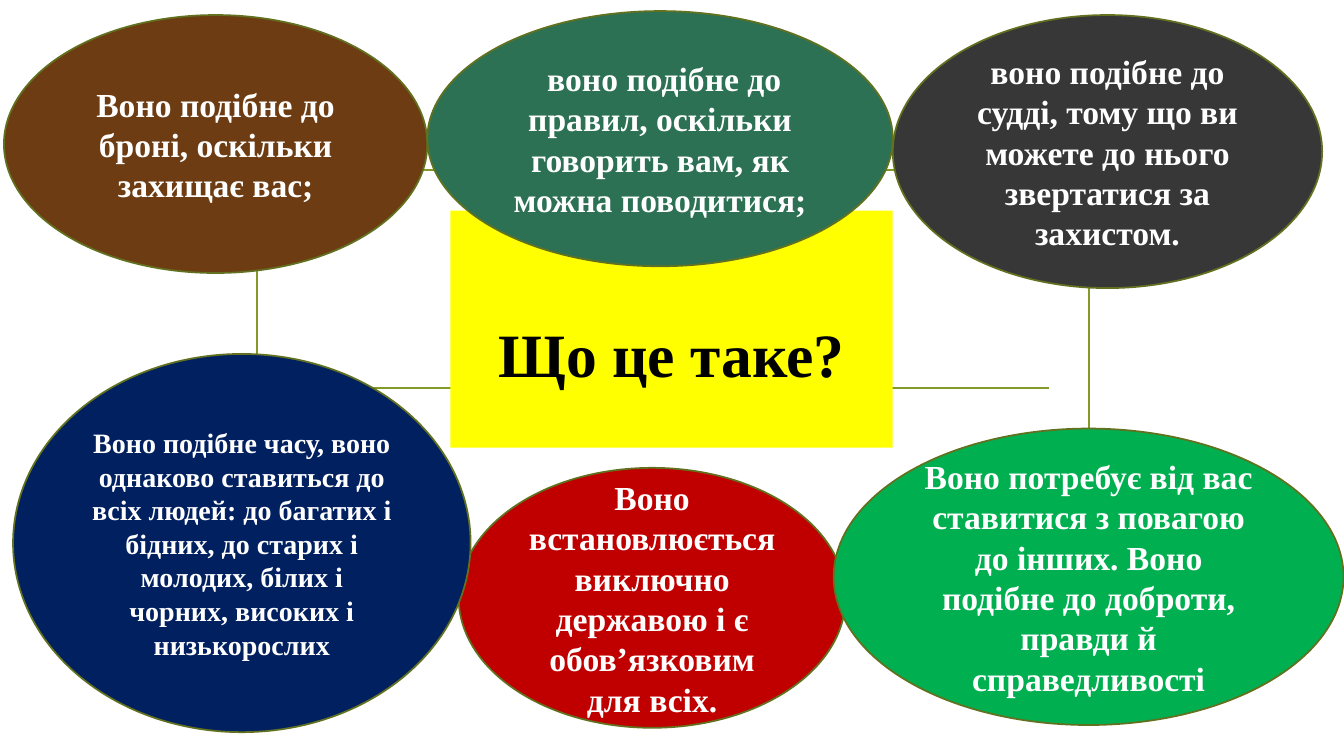
from dataclasses import dataclass

from lxml.etree import SubElement
from pptx import Presentation
from pptx.dml.color import RGBColor
from pptx.enum.shapes import MSO_CONNECTOR, MSO_SHAPE
from pptx.enum.text import MSO_ANCHOR, PP_ALIGN
from pptx.oxml.ns import qn
from pptx.util import Cm, Pt


@dataclass(frozen=True)
class Theme:
    font: str = "Times New Roman"
    title_size: int = 44
    body_size: int = 24
    small_size: int = 20
    leading: float = 1.2
    line_width: float = 1.25
    frame: str = "83992A"
    outline: str = "61711F"
    yellow: str = "FFFF00"
    black: str = "000000"
    white: str = "FFFFFF"
    brown: str = "6D3C13"
    teal: str = "2D7154"
    gray: str = "373737"
    red: str = "C00000"
    navy: str = "002060"
    green: str = "00B050"


THEME = Theme()

FRAME_BOX = (6.48, 4.29, 20.96, 10.64)
QUESTION_BOX = (11.35, 5.31, 11.15, 5.97)

# Box in cm, fill, type size, wording; from back to front
ANSWERS = [
    ((0.1, 0.38, 10.67, 6.5), THEME.brown, THEME.body_size,
     "Воно подібне до броні, оскільки захищає вас;"),
    ((10.77, 0.28, 11.73, 6.43), THEME.teal, THEME.body_size,
     " воно подібне до правил, оскільки говорить вам, як можна поводитися;"),
    ((22.5, 0.38, 10.82, 6.88), THEME.gray, THEME.body_size,
     "воно подібне до судді, тому що ви можете до нього звертатися за захистом."),
    ((11.56, 11.79, 9.75, 6.55), THEME.red, THEME.body_size,
     "Воно встановлюється виключно державою і є обов’язковим для всіх."),
    ((0.33, 8.92, 11.53, 9.53), THEME.navy, THEME.small_size,
     "Воно подібне часу, воно однаково ставиться до всіх людей: до багатих і "
     "бідних, до старих і молодих, білих і чорних, високих і низькорослих"),
    ((21.01, 10.8, 12.85, 7.47), THEME.green, THEME.body_size,
     "Воно потребує від вас ставитися з повагою до інших. Воно подібне до "
     "доброти, правди й справедливості"),
]


def set_line(line, color):
    line.color.rgb = RGBColor.from_string(color)
    line.width = Pt(THEME.line_width)


def add_preset(page, kind, box, fill=None, outline=None):
    shape = page.shapes.add_shape(kind, *map(Cm, box))
    shape.shadow.inherit = False
    if fill:
        shape.fill.solid()
        shape.fill.fore_color.rgb = RGBColor.from_string(fill)
    else:
        shape.fill.background()
    if outline:
        set_line(shape.line, outline)
    else:
        shape.line.fill.background()
    return shape


def write_text(shape, text, size, color):
    shape.text_frame.word_wrap = True
    para = shape.text_frame.paragraphs[0]
    para.alignment = PP_ALIGN.CENTER
    span = para.add_run()
    span.text = text
    span.font.name = THEME.font
    span.font.size = Pt(size)
    span.font.bold = True
    span.font.color.rgb = RGBColor.from_string(color)
    return para


def add_frame(page, box):
    """Outline rectangle with a rule across it, slightly inset at both ends."""
    left, top, width, height = box
    add_preset(page, MSO_SHAPE.RECTANGLE, box, outline=THEME.frame)
    rule_top = Cm(top + 5.49)
    rule = page.shapes.add_connector(
        MSO_CONNECTOR.STRAIGHT, Cm(left + 1), rule_top, Cm(left + width - 1), rule_top)
    set_line(rule.line, THEME.frame)
    SubElement(rule.element.spPr, qn("a:effectLst"))


def add_question(page, box):
    shape = add_preset(page, MSO_SHAPE.RECTANGLE, box, fill=THEME.yellow)
    shape.text_frame.vertical_anchor = MSO_ANCHOR.TOP
    shape.text_frame.margin_top = Cm(2.65)
    write_text(shape, "Що це таке?", THEME.title_size, THEME.black)


def add_answer(page, box, fill, size, text):
    shape = add_preset(page, MSO_SHAPE.OVAL, box, fill, THEME.outline)
    shape.text_frame.vertical_anchor = MSO_ANCHOR.MIDDLE
    para = write_text(shape, text, size, THEME.white)
    para.line_spacing = Pt(size * THEME.leading)


def main():
    deck = Presentation()
    deck.slide_width, deck.slide_height = Cm(33.87), Cm(19.05)
    page = deck.slides.add_slide(deck.slide_layouts[6])
    add_frame(page, FRAME_BOX)
    add_question(page, QUESTION_BOX)
    for answer in ANSWERS:
        add_answer(page, *answer)
    deck.save("out.pptx")


if __name__ == "__main__":
    main()
